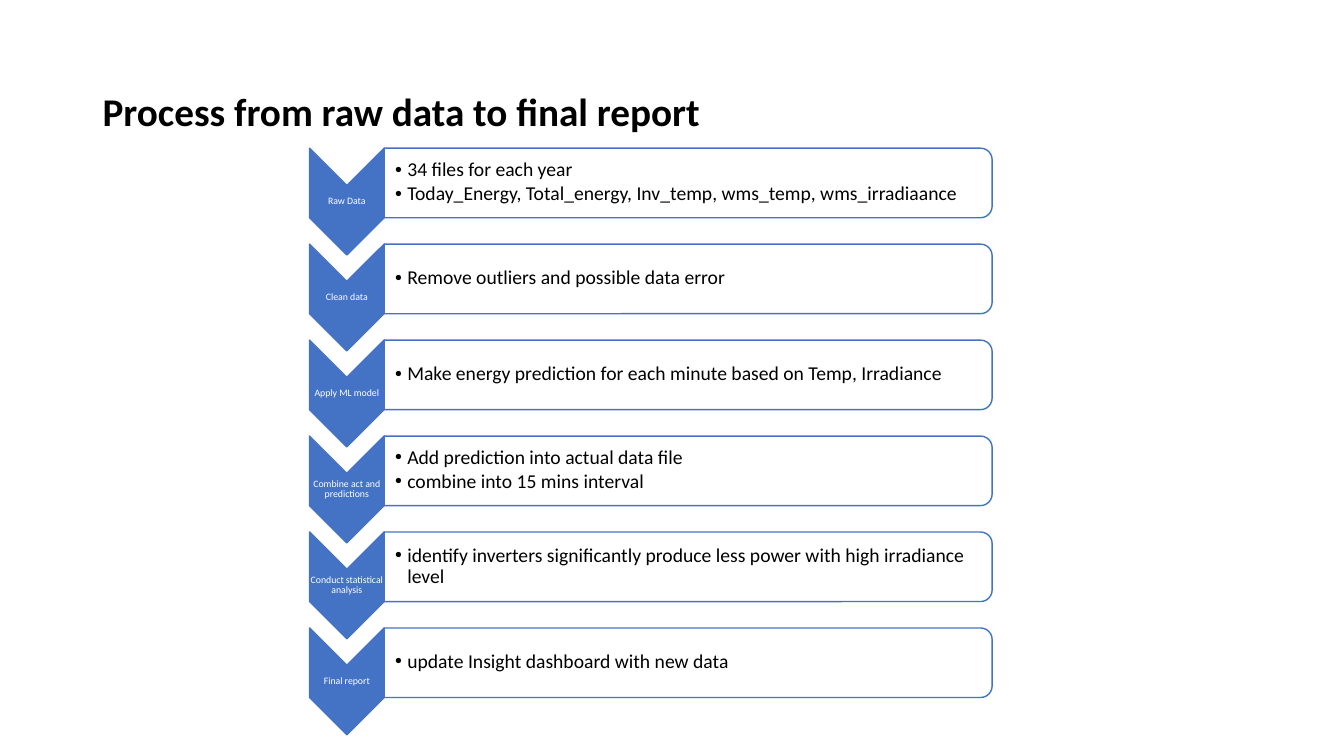
from lxml.etree import SubElement
from pptx import Presentation
from pptx.dml.color import RGBColor
from pptx.enum.shapes import MSO_SHAPE
from pptx.enum.text import MSO_ANCHOR, PP_ALIGN
from pptx.oxml.ns import qn
from pptx.util import Inches, Pt

BLUE = RGBColor(0x44, 0x72, 0xC4)
WHITE = RGBColor(0xFF, 0xFF, 0xFF)
BLACK = RGBColor(0x00, 0x00, 0x00)
FONT = "Calibri"

STEPS = [
    ("Raw Data", ["34 files for each year",
                  "Today_Energy, Total_energy, Inv_temp, wms_temp, wms_irradiaance"]),
    ("Clean data", ["Remove outliers and possible data error"]),
    ("Apply ML model", ["Make energy prediction for each minute based on Temp, Irradiance"]),
    ("Combine act and predictions", ["Add prediction into actual data file",
                                     "combine into 15 mins interval"]),
    ("Conduct statistical analysis",
     ["identify inverters significantly produce less power with high irradiance level"]),
    ("Final report", ["update Insight dashboard with new data"]),
]


def add_text(slide, lines, box, size, color=BLACK, bold=False, align=PP_ALIGN.LEFT,
             insets=(0, 0, 0, 0), space_after=0, bulleted=False):
    frame = slide.shapes.add_textbox(*map(Inches, box)).text_frame
    frame.word_wrap = True
    frame.vertical_anchor = MSO_ANCHOR.MIDDLE
    (frame.margin_left, frame.margin_top,
     frame.margin_right, frame.margin_bottom) = map(Inches, insets)
    for number, line in enumerate(lines):
        paragraph = frame.add_paragraph() if number else frame.paragraphs[0]
        paragraph.alignment = align
        paragraph.line_spacing = 0.9
        paragraph.space_after = Pt(space_after)
        run = paragraph.add_run()
        run.text = line
        run.font.name = FONT
        run.font.size = Pt(size)
        run.font.bold = bold
        run.font.color.rgb = color
        if bulleted:
            paragraph.level = 1
            properties = paragraph._p.get_or_add_pPr()
            properties.set("marL", str(Inches(0.12)))
            properties.set("indent", str(-Inches(0.12)))
            SubElement(properties, qn("a:buFont"), typeface="Arial")
            SubElement(properties, qn("a:buChar"), char="•")


def add_turned_shape(slide, preset, box, fill):
    left, top, width, height = box
    shift = (width - height) / 2
    shape = slide.shapes.add_shape(
        preset, Inches(left + shift), Inches(top - shift), Inches(height), Inches(width))
    shape.rotation = 90
    shape.shadow.inherit = False
    shape.fill.solid()
    shape.fill.fore_color.rgb = fill
    shape.line.color.rgb = BLUE
    shape.line.width = Pt(1)
    return shape


def add_step(slide, label, details, left, top, width, height):
    arrow_width, panel_height = 0.74, 0.69
    panel_left, panel_width = left + arrow_width, width - arrow_width
    add_turned_shape(slide, MSO_SHAPE.CHEVRON, (left, top, arrow_width, height), BLUE)
    add_text(slide, [label], (left, top + arrow_width / 2, arrow_width, height - arrow_width),
             size=7, color=WHITE, align=PP_ALIGN.CENTER)
    panel = add_turned_shape(slide, MSO_SHAPE.ROUND_2_SAME_RECTANGLE,
                             (panel_left, top, panel_width, panel_height), WHITE)
    panel_color = panel._element.spPr.find(qn("a:solidFill"))[0]
    SubElement(panel_color, qn("a:alpha"), val="90000")
    add_text(slide, details, (panel_left, top + 0.03, panel_width - 0.04, panel_height - 0.07),
             size=14, insets=(0.11, 0.01, 0.01, 0.01), space_after=2, bulleted=True)


def add_process(slide, left, top, width, height):
    step_height = 1.06
    pitch = (height - step_height) / (len(STEPS) - 1)
    for row, (label, details) in enumerate(STEPS):
        add_step(slide, label, details, left, top + row * pitch, width, step_height)


def add_title(slide, left, top, width, height):
    add_text(slide, ["Process from raw data to final report"], (left, top, width, height),
             size=28, bold=True, insets=(0.1, 0.05, 0.1, 0.05))


def main():
    presentation = Presentation()
    presentation.slide_width = Inches(13.33)
    presentation.slide_height = Inches(7.5)
    slide = presentation.slides.add_slide(presentation.slide_layouts[6])
    add_title(slide, 0.92, 0.4, 11.5, 1.45)
    add_process(slide, 3.07, 1.47, 6.77, 5.82)
    presentation.save("out.pptx")


if __name__ == "__main__":
    main()
